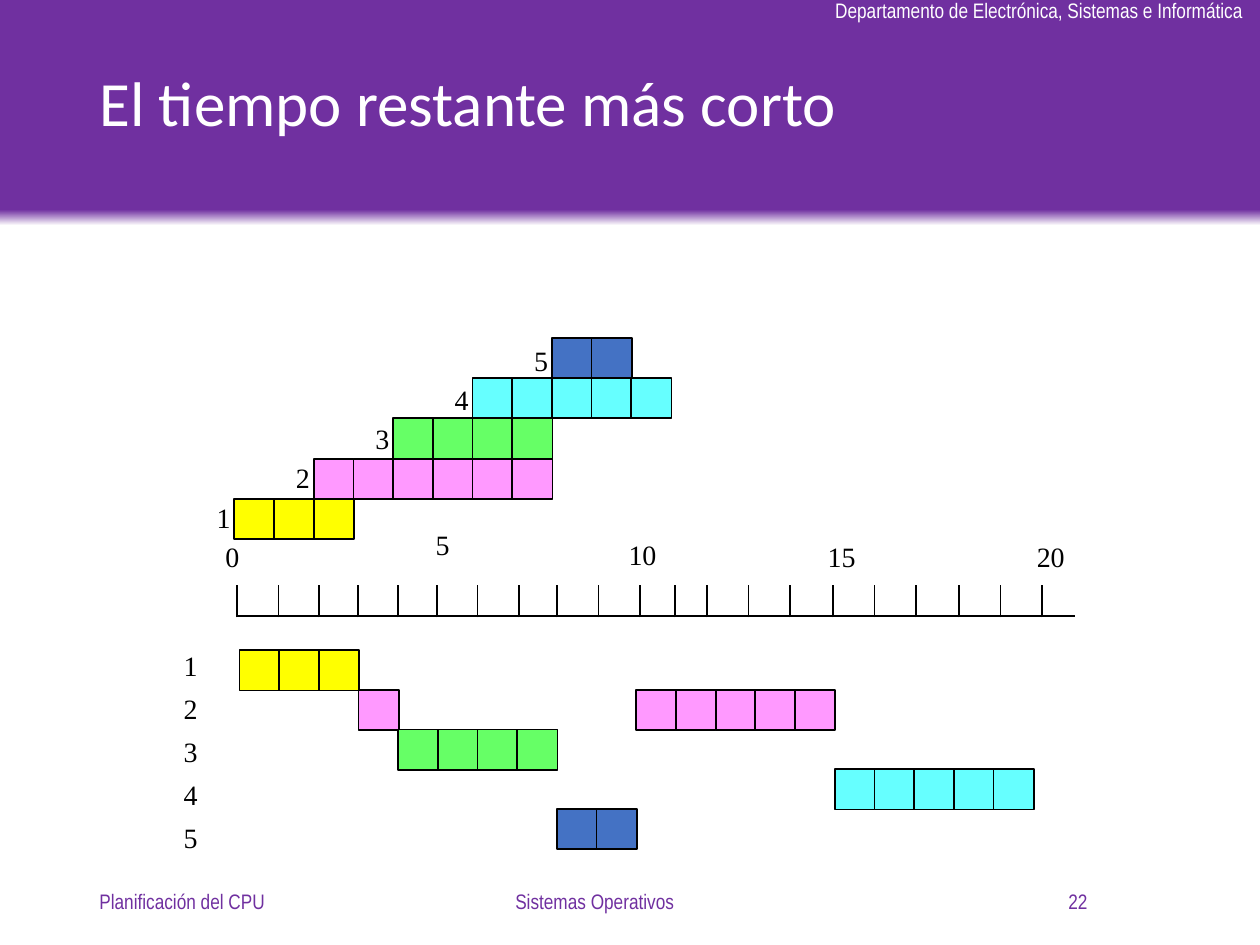
"""Build the slide on shortest-remaining-time CPU scheduling."""
from lxml import etree
from pptx import Presentation
from pptx.dml.color import RGBColor
from pptx.enum.shapes import MSO_CONNECTOR, MSO_SHAPE
from pptx.enum.text import MSO_ANCHOR, MSO_AUTO_SIZE, PP_ALIGN
from pptx.oxml.ns import qn
from pptx.util import Inches, Pt

RECTANGLE, STRAIGHT = MSO_SHAPE.RECTANGLE, MSO_CONNECTOR.STRAIGHT
MIDDLE, TOP = MSO_ANCHOR.MIDDLE, MSO_ANCHOR.TOP
LEFT, CENTER, RIGHT = PP_ALIGN.LEFT, PP_ALIGN.CENTER, PP_ALIGN.RIGHT
GROW, FIXED = MSO_AUTO_SIZE.SHAPE_TO_FIT_TEXT, MSO_AUTO_SIZE.NONE

PURPLE = RGBColor(0x70, 0x30, 0xA0)
WHITE = RGBColor(0xFF, 0xFF, 0xFF)
BLACK = RGBColor(0, 0, 0)
YELLOW = RGBColor(0xFF, 0xFF, 0x00)
PINK = RGBColor(0xFF, 0x99, 0xFF)
GREEN = RGBColor(0x66, 0xFF, 0x66)
CYAN = RGBColor(0x66, 0xFF, 0xFF)
BLUE = RGBColor(0x44, 0x72, 0xC4)

TITLE = "El tiempo restante más corto"
DEPARTMENT = "Departamento de Electrónica, Sistemas e Informática"
FOOTERS = [
    ("Planificación del CPU", 0.69, 2.25, LEFT),
    ("Sistemas Operativos", 3.03, 3.38, CENTER),
    ("22", 6.48, 2.25, RIGHT),
]
PROCESSES = [
    {"name": "1", "color": YELLOW, "arrival": 0, "burst": 3, "runs": [(0, 3)]},
    {"name": "2", "color": PINK, "arrival": 2, "burst": 6, "runs": [(3, 1), (10, 5)]},
    {"name": "3", "color": GREEN, "arrival": 4, "burst": 4, "runs": [(4, 4)]},
    {"name": "4", "color": CYAN, "arrival": 6, "burst": 5, "runs": [(15, 5)]},
    {"name": "5", "color": BLUE, "arrival": 8, "burst": 2, "runs": [(8, 2)]},
]
TICKS = [1.88, 2.21, 2.53, 2.84, 3.16, 3.47, 3.79, 4.12, 4.42, 4.75, 5.08,
         5.36, 5.61, 5.94, 6.27, 6.61, 6.94, 7.27, 7.61, 7.94, 8.27]
TIMES = [("0", 1.69, 4.23, 0.31), ("5", 3.36, 4.14, 0.31), ("10", 4.89, 4.22, 0.42),
         ("15", 6.47, 4.23, 0.42), ("20", 8.13, 4.23, 0.42)]
SLOT = 6.3 / 20
CELL = 0.32


def place(shape, left, top, width, height):
    shape.left, shape.top = Inches(left), Inches(top)
    shape.width, shape.height = Inches(width), Inches(height)


def write(shape, text, font, size, color, align=LEFT, anchor=TOP, wrap=True):
    frame = shape.text_frame
    frame.text = text
    frame.word_wrap = wrap
    frame.auto_size = FIXED if wrap else GROW
    frame.vertical_anchor = anchor
    paragraph = frame.paragraphs[0]
    paragraph.alignment = align
    style = paragraph.runs[0].font
    style.name, style.size, style.color.rgb = font, Pt(size), color


def add_text(slide, box, text, *style, **layout):
    write(slide.shapes.add_textbox(*map(Inches, box)), text, *style, **layout)


def add_label(slide, text, left, top, width=0.31):
    add_text(slide, (left, top, width, 0.36), text, "Times New Roman", 16, BLACK, wrap=False)


def add_line(slide, *ends):
    line = slide.shapes.add_connector(STRAIGHT, *map(Inches, ends))
    line.line.color.rgb = BLACK
    line.line.width = Pt(1)
    etree.SubElement(line.element.spPr, qn("a:effectLst"))


def add_cells(slide, left, top, count, color):
    for index in range(count):
        cell = slide.shapes.add_shape(
            RECTANGLE, *map(Inches, (left + SLOT * index, top, CELL, CELL)))
        cell.shadow.inherit = False
        cell.fill.solid()
        cell.fill.fore_color.rgb = color
        cell.line.color.rgb = BLACK
        cell.line.width = Pt(1)


def add_heading(slide):
    title = slide.shapes.title
    place(title, 0.69, 0.15, 8.62, 1.39)
    write(title, TITLE, "Calibri", 36, WHITE, anchor=MIDDLE)
    title.text_frame.paragraphs[0].line_spacing = 0.9

    band = slide.shapes.add_shape(RECTANGLE, 0, 0, Inches(10), Inches(1.79))
    band.shadow.inherit = False
    band.line.fill.background()
    band.fill.gradient()
    band.fill.gradient_angle = 90
    for stop, (position, color) in zip(band.fill.gradient_stops, [(0, WHITE), (0.07, PURPLE)]):
        stop.position, stop.color.rgb = position, color
    title.element.addprevious(band.element)

    add_text(slide, (6.53, -0.07, 3.48, 0.3), DEPARTMENT, "Arial Narrow", 12, WHITE, wrap=False)


def add_time_axis(slide):
    add_line(slide, 1.88, 4.89, 8.53, 4.89)
    for tick in TICKS:
        add_line(slide, tick, 4.9, tick, 4.64)
    for time, left, top, width in TIMES:
        add_label(slide, time, left, top, width)


def add_schedule(slide):
    for row, process in enumerate(PROCESSES):
        name, color = process["name"], process["color"]
        add_cells(slide, 1.86 + SLOT * process["arrival"], 3.96 - CELL * row,
                  process["burst"], color)
        add_label(slide, name, 1.62 + 2 * SLOT * row, 3.92 - 0.31 * row)
        for start, length in process["runs"]:
            add_cells(slide, 1.9 + SLOT * start, 5.16 + SLOT * row, length, color)
        add_label(slide, name, 1.36, 5.1 + 0.34 * row)


def main():
    prs = Presentation()
    prs.slide_width, prs.slide_height = Inches(10), Inches(7.5)
    slide = prs.slides.add_slide(prs.slide_layouts[5])
    add_heading(slide)
    for text, left, width, align in FOOTERS:
        add_text(slide, (left, 6.95, width, 0.4), text, "Arial Narrow", 12, PURPLE,
                 align=align, anchor=MIDDLE)
    add_time_axis(slide)
    add_schedule(slide)
    prs.save("out.pptx")


if __name__ == "__main__":
    main()
